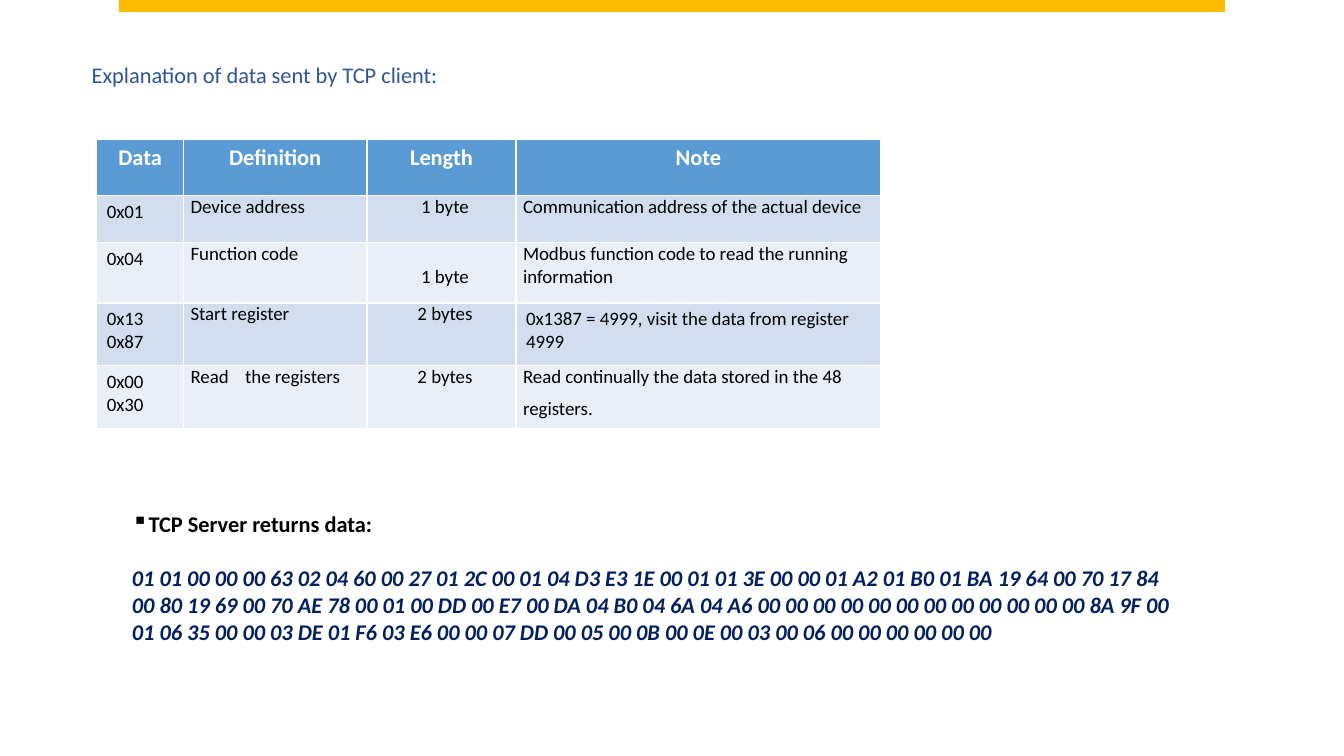
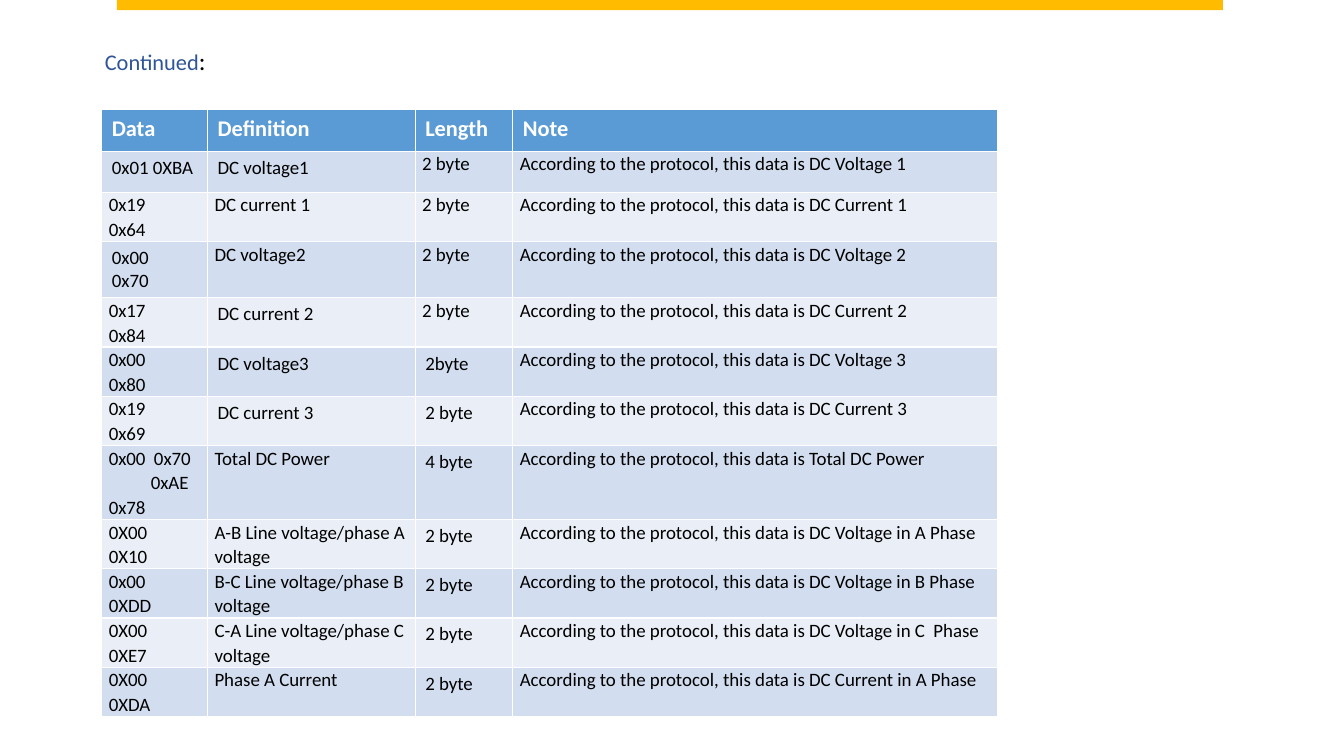
"""Build two slides that explain the data exchanged by a TCP client and server."""
from lxml import etree
from pptx import Presentation
from pptx.dml.color import RGBColor
from pptx.enum import shapes, text
from pptx.oxml import ns
from pptx.util import Pt

BLACK = RGBColor(0x00, 0x00, 0x00)
WHITE = RGBColor(0xFF, 0xFF, 0xFF)
AMBER = RGBColor(0xFF, 0xBB, 0x00)
TITLE_BLUE = RGBColor(0x2F, 0x55, 0x97)
HEADER_BLUE = RGBColor(0x5B, 0x9B, 0xD5)
NAVY = RGBColor(0x00, 0x20, 0x60)
STRIPES = [RGBColor(0xD2, 0xDE, 0xEF), RGBColor(0xEA, 0xEF, 0xF7)]
LEFT, CENTER = text.PP_ALIGN.LEFT, text.PP_ALIGN.CENTER
FLUSH = 5
HEADERS = ["Data", "Definition", "Length", "Note"]
PROTOCOL = "According to the protocol, this data is "


def write(p, words, size, color, bold=False, italic=False):
    r = p.add_run()
    r.text = words
    r.font.name, r.font.size = "Calibri", Pt(size)
    r.font.color.rgb = color
    r.font.bold, r.font.italic = bold, italic


def add_grid(s, left, top, widths, heights, aligns, header_align, spacing, rows):
    frame = s.shapes.add_table(len(heights), len(widths), Pt(left), Pt(top),
                               Pt(sum(widths)), Pt(sum(heights)))
    table = frame.table
    for column, width in zip(table.columns, widths):
        column.width = Pt(width)
    for i, (height, (padded, values)) in enumerate(zip(heights, rows)):
        table.rows[i].height = Pt(height)
        for j, value in enumerate(values):
            cell = table.cell(i, j)
            cell.fill.solid()
            cell.fill.fore_color.rgb = STRIPES[(i - 1) % 2] if i else HEADER_BLUE
            if j not in padded:
                cell.margin_left = Pt(FLUSH)
                cell.margin_top = cell.margin_right = cell.margin_bottom = 0
            tf = cell.text_frame
            for k, line in enumerate(value.split("\n")):
                p = tf.add_paragraph() if k else tf.paragraphs[0]
                p.alignment = aligns[j] if i else header_align
                if j not in padded:
                    p.line_spacing = spacing
                write(p, line, 13.5 if i else 16, BLACK if i else WHITE, not i)
    return table


prs = Presentation()
prs.slide_width, prs.slide_height = Pt(960), Pt(540)

client_rows = [
    ({0, 1, 2, 3}, HEADERS),
    ({0}, ["0x01", "Device address", "1 byte",
           "Communication address of the actual device"]),
    ({0}, ["0x04", "Function code", "1 byte",
           "Modbus function code to read the running information"]),
    ({0, 3}, ["0x13\n0x87", "Start register", "2 bytes",
              "0x1387 = 4999, visit the data from register 4999"]),
    ({0}, ["0x00\n0x30", "Read\tthe registers", "2 bytes",
           "Read continually the data stored in the 48\nregisters."]),
]
server_fields = [
    ({0, 1}, "0x01 0XBA", "DC voltage1", "2 byte", "DC Voltage 1"),
    (set(), "0x19\n0x64", "DC current 1", "2 byte", "DC Current 1"),
    ({0}, "0x00\n0x70", "DC voltage2", "2 byte", "DC Voltage 2"),
    ({1}, "0x17\n0x84", "DC current 2", "2 byte", "DC Current 2"),
    ({1, 2}, "0x00\n0x80", "DC voltage3", "2byte", "DC Voltage 3"),
    ({1, 2}, "0x19\n0x69", "DC current 3", "2 byte", "DC Current 3"),
    ({2}, "0x00  0x70\n0xAE\n0x78", "Total DC Power", "4 byte", "Total DC Power"),
    ({2}, "0X00\n0X10", "A-B Line voltage/phase A voltage", "2 byte",
     "DC Voltage in A Phase"),
    ({2}, "0x00\n0XDD", "B-C Line voltage/phase B voltage", "2 byte",
     "DC Voltage in B Phase"),
    ({2}, "0X00\n0XE7", "C-A Line voltage/phase C voltage", "2 byte",
     "DC Voltage in C  Phase"),
    ({2}, "0X00\n0XDA", "Phase A Current", "2 byte", "DC Current in A Phase"),
]
server_rows = [({0, 1, 2, 3}, HEADERS)] + [
    (padded, [data, definition, length, PROTOCOL + subject])
    for padded, data, definition, length, subject in server_fields]

pages = [
    ((85, 0), (58.3, 39.6, 27.4),
     [("Explanation of data sent by TCP client:", 16, TITLE_BLUE)],
     (69.1, 99.4, [62, 131, 106.5, 260.5], [40, 34, 43, 45, 45],
      [LEFT, LEFT, CENTER, LEFT], CENTER, 1.0, client_rows)),
    ((83.5, -1.4), (67.7, 28.8, 28.8),
     [("Continued", 16, TITLE_BLUE), (":", 18, BLACK)],
     (72.7, 78.5, [75.6, 148.3, 69.8, 346.3], [29.5] * len(server_rows),
      [LEFT] * 4, LEFT, 1.07, server_rows)),
]
slides, tables = [], []
for (band_left, band_top), (left, top, height), title_runs, grid in pages:
    s = prs.slides.add_slide(prs.slide_layouts[5])
    band = s.shapes.add_shape(shapes.MSO_SHAPE.RECTANGLE, Pt(band_left),
                              Pt(band_top), Pt(790), Pt(8.6))
    band.shadow.inherit = False
    band.fill.solid()
    band.fill.fore_color.rgb = AMBER
    band.line.fill.background()

    title = s.shapes.title
    title.left, title.top = Pt(left), Pt(top)
    title.width, title.height = Pt(653.8), Pt(height)
    tf = title.text_frame
    tf.word_wrap, tf.auto_size = True, text.MSO_AUTO_SIZE.NONE
    tf.vertical_anchor = text.MSO_ANCHOR.MIDDLE
    p = tf.paragraphs[0]
    p.alignment = LEFT
    for words, size, color in title_runs:
        write(p, words, size, color)
    slides.append(s)
    tables.append(add_grid(s, *grid))

client_table, server_table = tables
client_table.cell(2, 2).margin_top = Pt(16.5)
client_table.cell(4, 3).text_frame.paragraphs[1].space_before = Pt(5.8)
registers = client_table.cell(4, 1).text_frame.paragraphs[0]
tab_list = etree.SubElement(registers._p.get_or_add_pPr(), ns.qn("a:tabLst"))
etree.SubElement(tab_list, ns.qn("a:tab"), pos=str(Pt(39)), algn="l")
power_bytes = server_table.cell(7, 0).text_frame.paragraphs[1]
power_bytes._p.get_or_add_pPr().set("marL", str(Pt(30)))

reply = slides[0].shapes.add_textbox(Pt(69.1), Pt(360.7), Pt(778.3), Pt(104.4))
tf = reply.text_frame
tf.word_wrap, tf.auto_size = True, text.MSO_AUTO_SIZE.SHAPE_TO_FIT_TEXT
p = tf.paragraphs[0]
write(p, "TCP Server returns data:", 16, BLACK, True)
pPr = p._p.get_or_add_pPr()
pPr.set("marL", "0")
pPr.set("indent", str(Pt(18)))
etree.SubElement(pPr, ns.qn("a:buChar"), char="▪")
p = tf.add_paragraph()
p.space_before = Pt(19.5)
p._p.get_or_add_pPr().set("marL", str(Pt(18)))
write(p, "01 01 00 00 00 63 02 04 60 00 27 01 2C 00 01 04 D3 E3 1E 00 01 01 3E "
      "00 00 01 A2 01 B0 01 BA 19 64 00 70 17 84 00 80 19 69 00 70 AE 78 00 01 "
      "00 DD 00 E7 00 DA 04 B0 04 6A 04 A6 00 00 00 00 00 00 00 00 00 00 00 00 "
      "8A 9F 00 01 06 35 00 00 03 DE 01 F6 03 E6 00 00 07 DD 00 05 00 0B 00 0E "
      "00 03 00 06 00 00 00 00 00 00", 16, NAVY, True, True)

prs.save("out.pptx")
